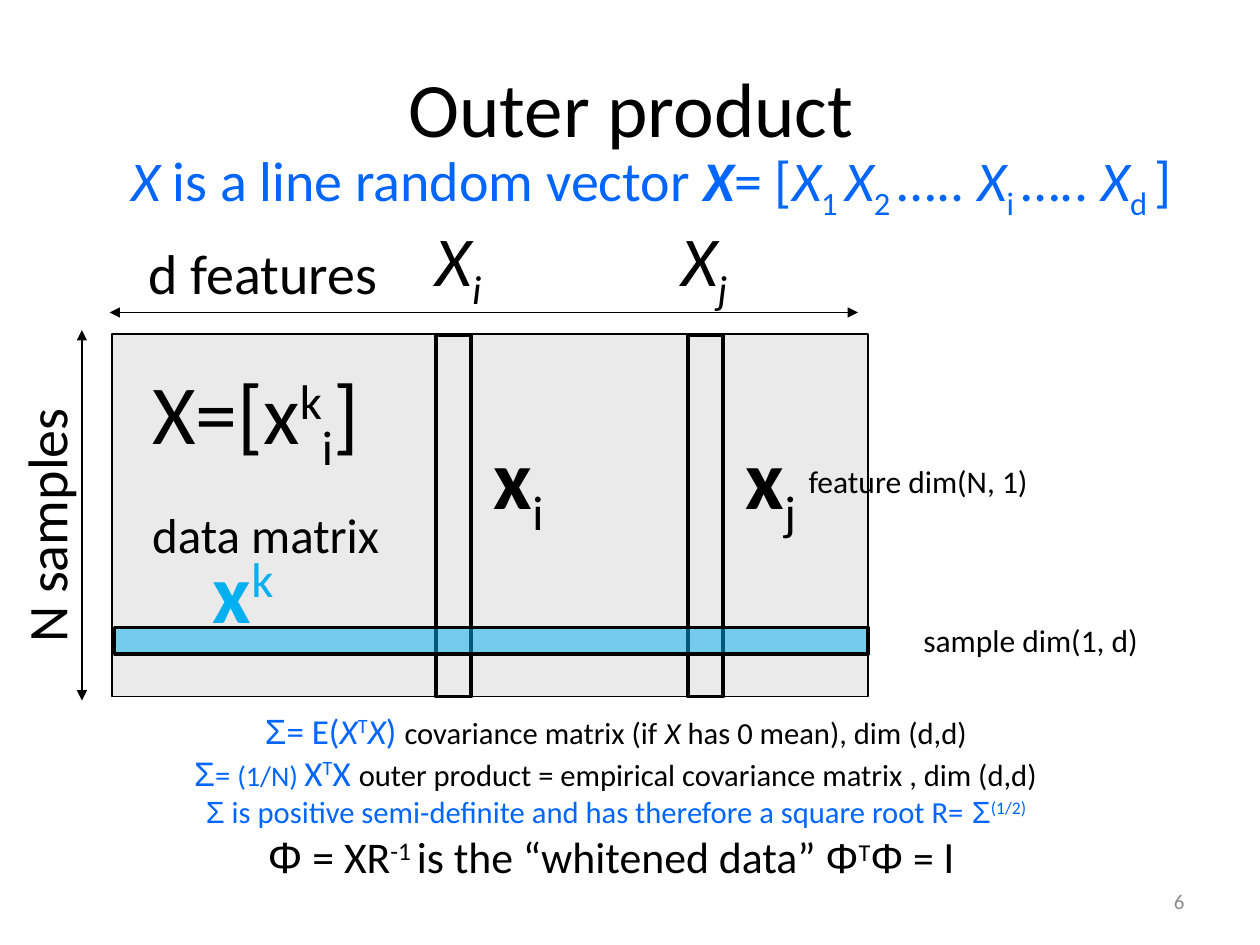
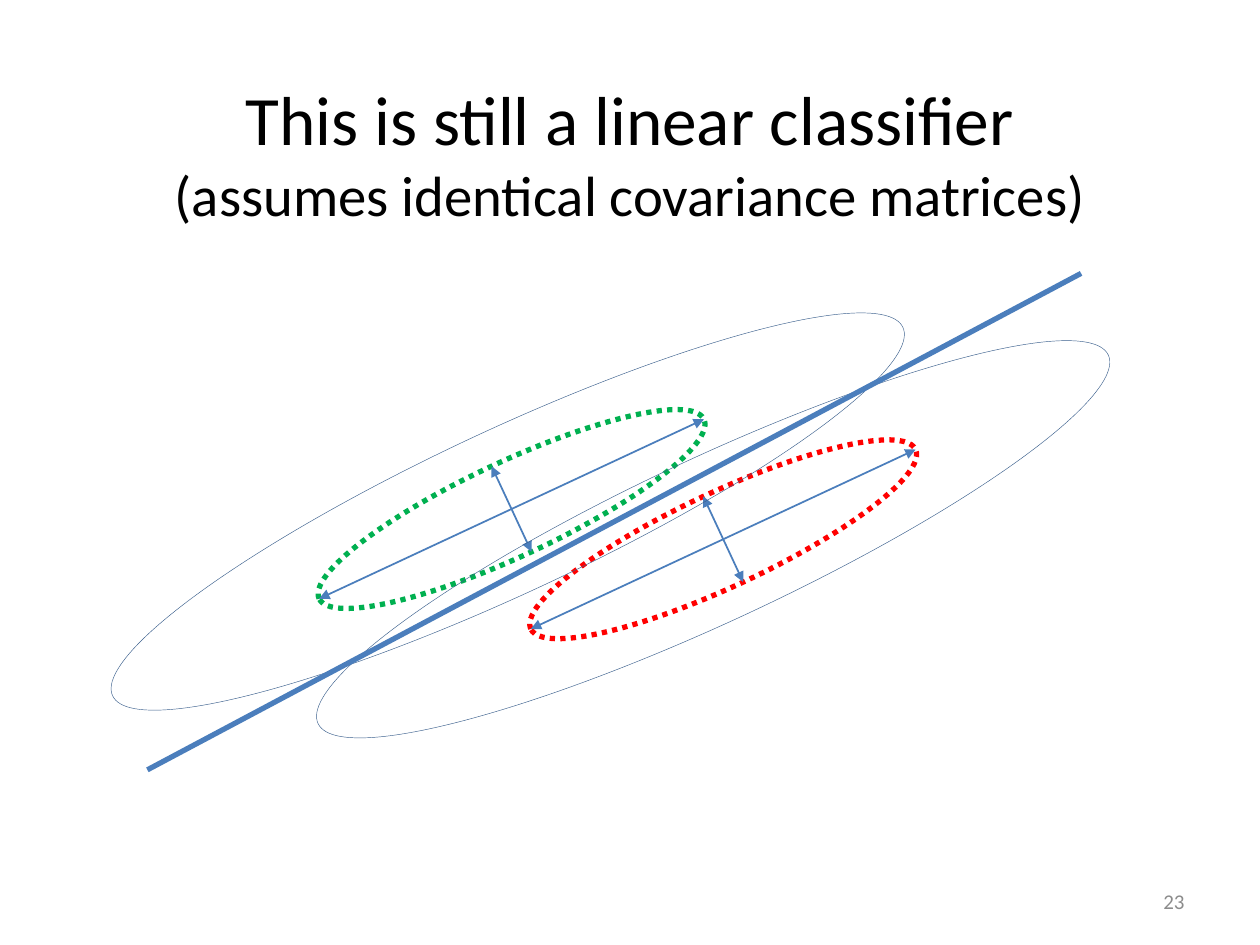
from math import cos, radians, sin

from lxml.etree import SubElement
from pptx import Presentation
from pptx.dml.color import RGBColor
from pptx.enum.dml import MSO_LINE
from pptx.enum.shapes import MSO_CONNECTOR, MSO_SHAPE
from pptx.enum.text import MSO_ANCHOR as ANCHOR, MSO_AUTO_SIZE, PP_ALIGN as ALIGN
from pptx.oxml.ns import qn
from pptx.util import Pt

PX = 9144  # EMU per px, 100 px to the inch
TITLE_ONLY = 5

BLACK = RGBColor(0x00, 0x00, 0x00)
GREY = RGBColor(0x8C, 0x8C, 0x8C)
MATRIX_GREY = RGBColor(0xEA, 0xEA, 0xEA)
BLUE = RGBColor(0x00, 0x66, 0xFF)
SKY = RGBColor(0x00, 0xB0, 0xF0)
LINE_BLUE = RGBColor(0x4B, 0x7E, 0xBC)
OUTLINE_BLUE = RGBColor(0x3A, 0x5F, 0x8C)
GREEN = RGBColor(0x00, 0xB0, 0x50)
RED = RGBColor(0xFF, 0x00, 0x00)

TILT = 25  # degrees the ellipses rise to the right


def px(*lengths):
    return [round(length * PX) for length in lengths]


# ---- Text ----

def add_span(para, text, marks="", size=18, color=BLACK):
    """Marks: b bold, i italic, ^ superscript, _ subscript, A Arial."""
    span = para.add_run()
    span.text = text
    font = span.font
    font.name = "Arial" if "A" in marks else "Calibri"
    font.size = Pt(size)
    font.color.rgb = color
    font.bold = "b" in marks
    font.italic = "i" in marks
    if "^" in marks:
        span._r.get_or_add_rPr().set("baseline", "30000")
    if "_" in marks:
        span._r.get_or_add_rPr().set("baseline", "-25000")


def fill_frame(frame, paragraphs, align=ALIGN.LEFT, anchor=ANCHOR.TOP, gap=0):
    frame.word_wrap = True
    frame.auto_size = MSO_AUTO_SIZE.NONE
    frame.vertical_anchor = anchor
    for index, spans in enumerate(paragraphs):
        para = frame.add_paragraph() if index else frame.paragraphs[0]
        para.alignment = align
        if index and gap:
            para.space_before = Pt(gap)
        for span in spans:
            add_span(para, *span)


def add_text(page, place, *paragraphs, rotation=0, **layout):
    box = page.shapes.add_textbox(*px(*place))
    box.rotation = rotation
    fill_frame(box.text_frame, paragraphs, **layout)


def add_page(deck, number, title_place, *title_lines):
    page = deck.slides.add_slide(deck.slide_layouts[TITLE_ONLY])
    title = page.shapes.title
    title.left, title.top, title.width, title.height = px(*title_place)
    fill_frame(title.text_frame, title_lines, ALIGN.CENTER, ANCHOR.MIDDLE)
    add_text(page, (717, 695, 233, 40), [(number, "", 12, GREY)],
             align=ALIGN.RIGHT, anchor=ANCHOR.MIDDLE)
    return page


# ---- Shapes and lines ----

def add_outline(page, kind, place, color, weight, fill=None, opacity=None):
    shape = page.shapes.add_shape(kind, *px(*place))
    shape.shadow.inherit = False
    shape.line.color.rgb = color
    shape.line.width = Pt(weight)
    if fill is None:
        shape.fill.background()
    else:
        shape.fill.solid()
        shape.fill.fore_color.rgb = fill
    if opacity is not None:
        tint = shape.fill._xPr.find(qn("a:solidFill"))[0]
        SubElement(tint, qn("a:alpha"), val=str(opacity * 1000))
    return shape


def add_line(page, start, end, color, weight, arrows=True):
    line = page.shapes.add_connector(MSO_CONNECTOR.STRAIGHT, *px(*start, *end))
    line.line.color.rgb = color
    line.line.width = Pt(weight)
    if arrows:
        for tip in ("a:headEnd", "a:tailEnd"):
            SubElement(line.line._ln, qn(tip), type="triangle")
    SubElement(line._element.spPr, qn("a:effectLst"))


def add_ellipse(page, center, length, width, color, weight):
    x, y = center
    place = (x - length / 2, y - width / 2, length, width)
    ellipse = add_outline(page, MSO_SHAPE.OVAL, place, color, weight)
    ellipse.rotation = 360 - TILT
    return ellipse


def add_axis(page, center, length, angle):
    x, y = center
    dx = length / 2 * cos(radians(angle))
    dy = length / 2 * sin(radians(angle))
    add_line(page, (x - dx, y + dy), (x + dx, y - dy), LINE_BLUE, 1)


# ---- Slides ----

def build_outer_product(deck):
    page = add_page(deck, "6", (76, 22, 850, 125), [("Outer product", "", 44)])

    # Data matrix and its dimensions
    add_outline(page, MSO_SHAPE.RECTANGLE, (89, 265, 600, 288), BLACK, 0.75, MATRIX_GREY)
    add_text(page, (111, 281, 220, 162),
             [("X=[x", "", 48), ("k", "^", 48), ("i", "_", 48), ("]", "", 48)],
             [("data matrix", "", 28)], gap=17)
    add_line(page, (87, 248), (681, 248), BLACK, 0.75)
    add_text(page, (108, 184, 220, 64), [("d features", "", 32)])
    add_line(page, (65, 262), (65, 556), BLACK, 0.75)
    add_text(page, (-68, 384, 208, 64), [("N samples", "", 32)], rotation=270)

    # Feature columns, each with its variable above and its vector beside
    for index, column_left, variable_left in (("i", 346, 336), ("j", 546, 531)):
        add_outline(page, MSO_SHAPE.RECTANGLE, (column_left, 266, 28, 287), BLACK, 2)
        add_text(page, (column_left + 36, 333, 90, 90),
                 [("x", "b", 48), (index, "_", 48)])
        add_text(page, (variable_left, 167, 80, 131),
                 [("X", "i", 40), (index, "i_", 40)])

    # Sample row
    add_outline(page, MSO_SHAPE.RECTANGLE, (91, 498, 598, 21), BLACK, 2, SKY, 50)
    add_text(page, (159, 423, 90, 91), [("x", "b", 48, SKY), ("k", "^", 48, SKY)])
    add_text(page, (723, 488, 250, 40), [("sample dim(1, d)",)])
    add_text(page, (632, 362, 250, 40), [("feature dim(N, 1)",)])

    # Random vector
    vector = [("X", "i"), (" is a line random vector ", ""), ("X", "bi"), ("= [", ""),
              ("X", "i"), ("1 ", "_"), ("X", "i"), ("2 ", "_"), ("….. ", ""),
              ("X", "i"), ("i ", "_"), ("….. ", ""), ("X", "i"), ("d ", "_"), ("] ", "")]
    add_text(page, (19, 83, 1006, 125),
             [(text, marks, 32, BLUE) for text, marks in vector],
             align=ALIGN.CENTER, anchor=ANCHOR.MIDDLE)

    # Covariance and whitening
    add_text(
        page, (-14, 558, 1006, 150),
        [("Σ", "A", 20, BLUE), ("= E(", "", 20, BLUE), ("X", "i", 20, BLUE),
         ("T", "^", 20, BLUE), ("X", "i", 20, BLUE), (") ", "", 20, BLUE),
         ("covariance matrix (if ", "", 17.5), ("X ", "i", 17.5),
         ("has 0 mean), dim (d,d)", "", 17.5)],
        [("Σ", "A", 19.4, BLUE), ("= ", "", 17.5, BLUE), ("(1/N) ", "", 16.2, BLUE),
         ("X", "", 20, BLUE), ("T", "^", 20, BLUE), ("X ", "", 20, BLUE),
         ("outer product = empirical covariance matrix , dim (d,d)", "", 17.5)],
        [("Σ", "A", 17.5, BLUE),
         (" is positive semi-definite and has therefore a square root R= ", "", 17.5, BLUE),
         ("Σ", "A", 17.5, BLUE), ("(1/2)", "^", 17.5, BLUE)],
        [("Φ", "A", 25), (" = XR", "", 25), ("-1 ", "^", 25),
         ("is the “whitened data” ", "", 25), ("Φ", "A", 23.8), ("T", "^", 23.8),
         ("Φ", "A", 23.8), (" = ", "", 23.8), ("Ι", "A", 23.8), (" ", "", 25)],
        align=ALIGN.CENTER)


def build_linear_classifier(deck):
    page = add_page(deck, "23", (50, 58, 900, 125),
                    [("This is still a linear classifier", "", 39.6)],
                    [("(assumes identical covariance matrices)", "", 32.4)])

    # Each class: dotted ellipse with its two axes
    for center, color in (((406, 404), GREEN), ((574, 428), RED)):
        ellipse = add_ellipse(page, center, 337, 75, color, 3)
        ellipse.line.dash_style = MSO_LINE.ROUND_DOT
        add_axis(page, center, 337, TILT)
        add_axis(page, center, 75, TILT - 90)

    # Wider contours and the decision line between the classes
    for center in ((566, 428), (403, 406)):
        add_ellipse(page, center, 692, 130, OUTLINE_BLUE, 0.25)
    add_line(page, (117, 611), (858, 217), LINE_BLUE, 3, arrows=False)


def main():
    deck = Presentation()
    deck.slide_width, deck.slide_height = px(1000, 750)
    build_outer_product(deck)
    build_linear_classifier(deck)
    deck.save("out.pptx")


if __name__ == "__main__":
    main()
